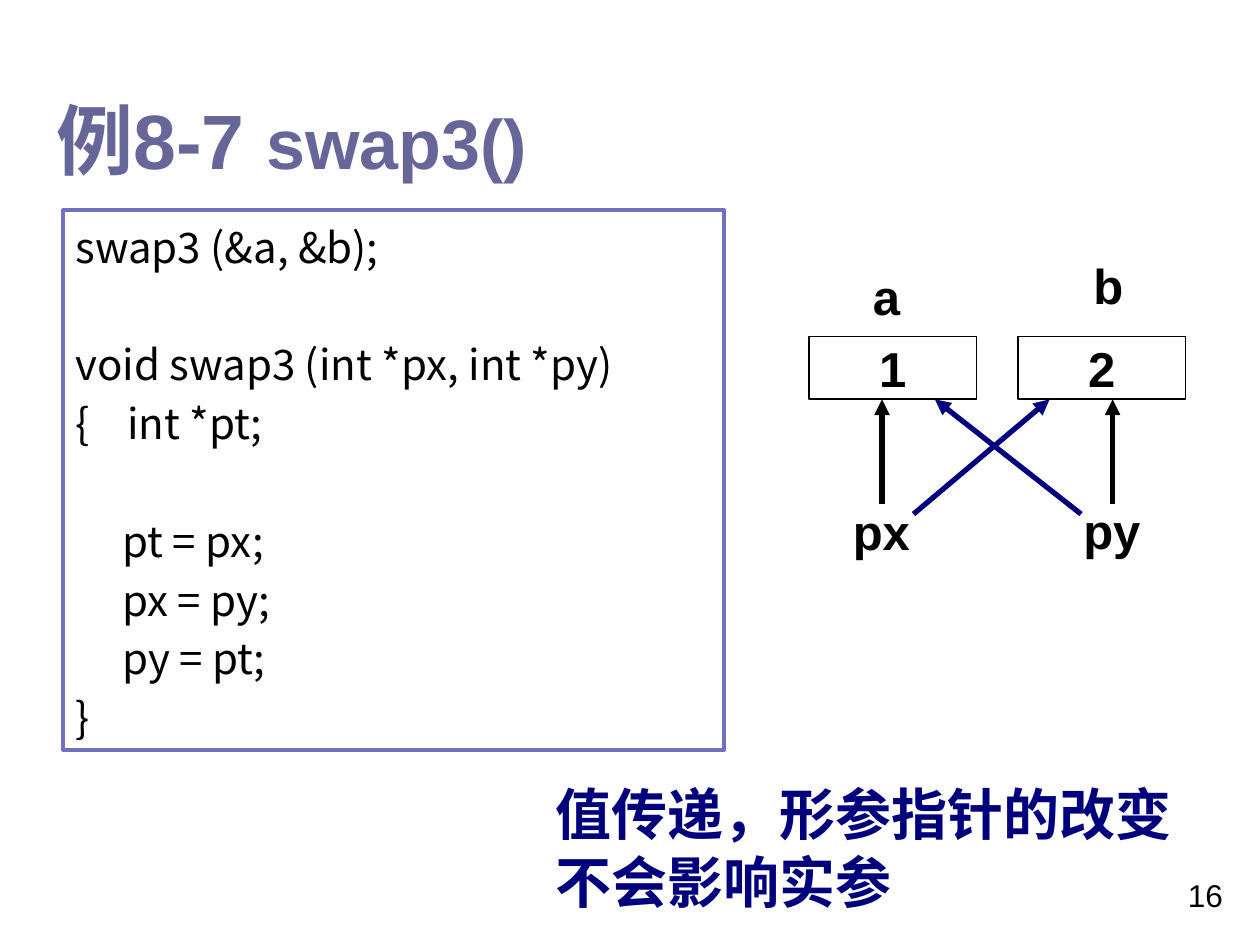
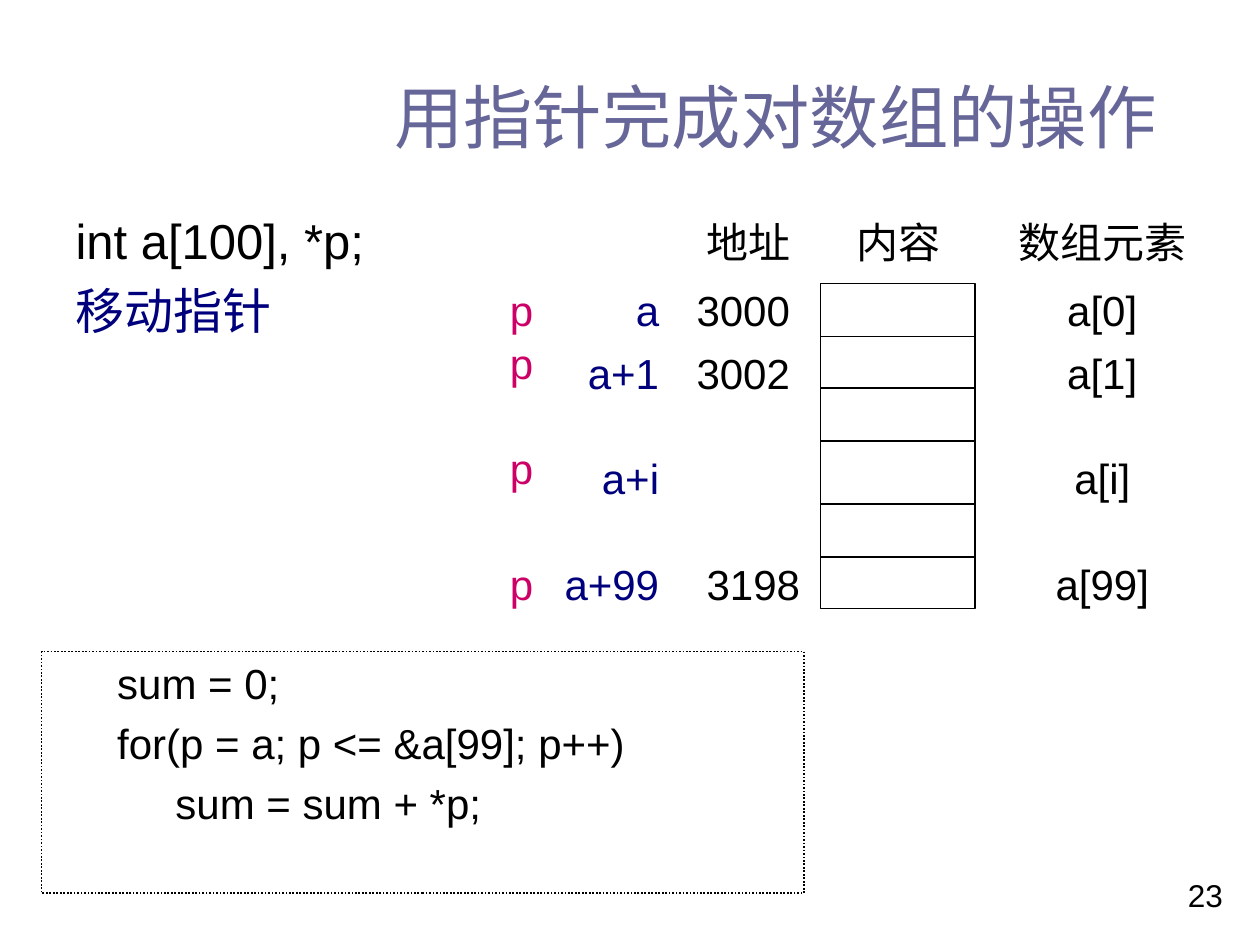
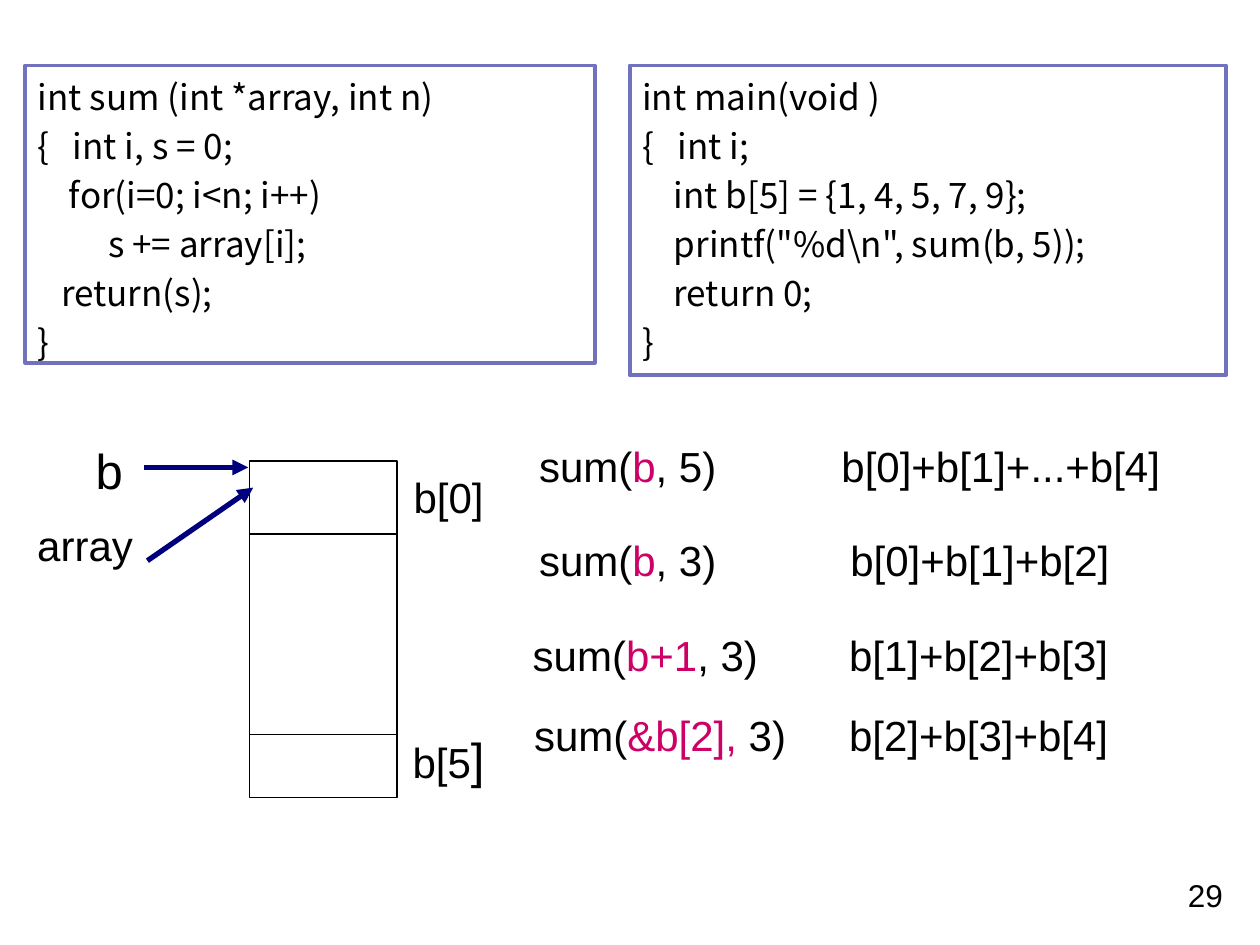
from typing import NamedTuple

from lxml import etree
from pptx import Presentation
from pptx import util as u
from pptx.dml.color import RGBColor
from pptx.enum import dml, shapes, text
from pptx.oxml.ns import qn

BLACK, NAVY, PINK = "000000", "00007D", "CC0066"
TITLE_COLOR, CODE_BORDER = "666699", "7171BD"
BODY_FONT, CODE_FONT = "Arial", "Noto Sans CJK SC"
LEFT, CENTER, RIGHT = text.PP_ALIGN.LEFT, text.PP_ALIGN.CENTER, text.PP_ALIGN.RIGHT
TOP, MIDDLE, BOTTOM = text.MSO_ANCHOR.TOP, text.MSO_ANCHOR.MIDDLE, text.MSO_ANCHOR.BOTTOM
INSET = 0.1


class Box(NamedTuple):
    left: float
    top: float
    width: float
    height: float


class Run(NamedTuple):
    text: str
    color: str | None = None
    size: float | None = None


class SumCall(NamedTuple):
    left: float
    top: float
    argument: str
    rest: str
    result_left: float
    result: str


def rgb(color: str) -> RGBColor:
    return RGBColor.from_string(color)


def lengths(*values: float) -> list[u.Length]:
    return [u.Inches(value) for value in values]


def write_text(shape, lines, *, size=24, font=BODY_FONT, color=BLACK, bold=False,
               align=LEFT, anchor=TOP, wrap=True, left_inset=INSET, top_inset=0.05,
               line_spacing=None, space_before=0, tabs=()):
    """Fill a shape; each line is a string or a list of runs, and an empty line widens the gap."""
    frame = shape.text_frame
    frame.word_wrap = wrap
    frame.vertical_anchor = anchor
    frame.margin_left, frame.margin_right, frame.margin_top, frame.margin_bottom = lengths(
        left_inset, INSET, top_inset, 0.05)
    lines = [lines] if isinstance(lines, str) else lines
    gap, paragraph = 0, None
    for line in lines:
        if not line:
            gap += line_spacing
            continue
        if paragraph is None:
            paragraph = frame.paragraphs[0]
        else:
            paragraph = frame.add_paragraph()
            paragraph.space_before = u.Pt(space_before) + gap
        gap = 0
        paragraph.alignment = align
        if line_spacing:
            paragraph.line_spacing = line_spacing
        if tabs:
            properties = paragraph._p.get_or_add_pPr()
            tab_list = etree.SubElement(properties, qn("a:tabLst"))
            for position in tabs:
                etree.SubElement(tab_list, qn("a:tab"), pos=str(u.Inches(position)), algn="ctr")
        for part in [Run(line)] if isinstance(line, str) else line:
            run = paragraph.add_run()
            run.text = part.text
            run.font.name = font
            run.font.size = u.Pt(part.size or size)
            run.font.bold = bold
            run.font.color.rgb = rgb(part.color or color)


def add_text(slide, box: Box, lines, **text_format) -> None:
    write_text(slide.shapes.add_textbox(*lengths(*box)), lines, **text_format)


def add_frame(slide, box: Box, color: str = BLACK, weight: float = 1, dash=None):
    frame = slide.shapes.add_shape(shapes.MSO_SHAPE.RECTANGLE, *lengths(*box))
    frame.shadow.inherit = False
    frame.fill.background()
    frame.line.color.rgb = rgb(color)
    frame.line.width = u.Pt(weight)
    if dash:
        frame.line.dash_style = dash
    return frame


def add_line(slide, start, end, color: str = BLACK, weight: float = 1, arrow: bool = False) -> None:
    line = slide.shapes.add_connector(
        shapes.MSO_CONNECTOR.STRAIGHT, *lengths(*start, *end))
    line.line.color.rgb = rgb(color)
    line.line.width = u.Pt(weight)
    if arrow:
        etree.SubElement(line.line._get_or_add_ln(), qn("a:tailEnd"), type="triangle")
    etree.SubElement(line._element.spPr, qn("a:effectLst"))


def add_arrow(slide, start, end, color: str = NAVY) -> None:
    add_line(slide, start, end, color, 3, arrow=True)


def add_title(slide, box: Box, line, **text_format) -> None:
    add_text(slide, box, [line], color=TITLE_COLOR, **text_format)


def add_code(slide, box: Box, code: str, size: float) -> None:
    write_text(add_frame(slide, box, CODE_BORDER, 2.25), code.splitlines(), size=size,
               font=CODE_FONT, top_inset=0.02, line_spacing=u.Pt(size * 1.4))


def add_slide(presentation, number: int):
    slide = presentation.slides.add_slide(presentation.slide_layouts[6])
    add_text(slide, Box(9.33, 6.9, 0.55, 0.4), str(number), size=18)
    return slide


SWAP_CODE = """swap3 (&a, &b);

void swap3 (int *px, int *py)
{    int *pt;

     pt = px;
     px = py;
     py = pt;
}"""

SUM_CODE = """int sum (int *array, int n)
{   int i, s = 0;
    for(i=0; i<n; i++)
         s += array[i];
   return(s);
}"""

MAIN_CODE = r"""int main(void )
{   int i;
    int b[5] = {1, 4, 5, 7, 9};
    printf("%d\n", sum(b, 5));
    return 0;
}"""

LOOP_CODE = """sum = 0;
for(p = a; p <= &a[99]; p++)
     sum = sum + *p;"""


def build_swap_slide(presentation) -> None:
    slide = add_slide(presentation, 16)
    add_title(slide, Box(0.35, 0.6, 5, 0.92), [Run("例8-7 "), Run("swap3()", size=40)],
              size=44, bold=True, anchor=BOTTOM)
    add_code(slide, Box(0.5, 1.67, 5.25, 4.28), SWAP_CODE, 24)

    cell_top, cell_height = 2.67, 0.5
    cell_bottom = cell_top + cell_height
    for left, value in ((6.42, "1"), (8.08, "2")):
        cell = add_frame(slide, Box(left, cell_top, 1.33, cell_height))
        write_text(cell, value, size=28, bold=True, align=CENTER, anchor=MIDDLE, wrap=False)
    for left, top, name in ((6.83, 2.07, "a"), (8.58, 1.98, "b"),
                            (6.67, 3.93, "px"), (8.5, 3.92, "py")):
        add_text(slide, Box(left, top, 0.83, 0.57), name, size=28, bold=True)
    for x in (7, 8.83):
        add_arrow(slide, (x, 4), (x, cell_bottom), BLACK)
    for start_x, end_x in ((7.25, 8.33), (8.58, 7.42)):
        add_arrow(slide, (start_x, 4.08), (end_x, cell_bottom))
    add_text(slide, Box(4.31, 6.14, 5.5, 1.17), "值传递，形参指针的改变不会影响实参",
             size=32, font="Courier New", color=NAVY, bold=True)


def build_array_slide(presentation) -> None:
    slide = add_slide(presentation, 23)
    add_title(slide, Box(3.03, 0.52, 6.65, 0.79), "用指针完成对数组的操作",
              size=39.6, anchor=MIDDLE)
    add_text(slide, Box(0, 1.62, 3.58, 1.25), ["int a[100], *p;", [Run("移动指针", NAVY)]],
             size=28, left_inset=0.6, space_before=6.4)

    memory = Box(6.51, 2.25, 1.23, 2.58)
    add_frame(slide, memory, weight=0.75)
    for y in (2.67, 3.08, 3.5, 4, 4.42):
        add_line(slide, (memory.left, y), (memory.left + memory.width, y), weight=0.75)

    content_center, element_center = 7.13, 8.75
    header_left = 5.51
    add_text(slide, Box(header_left, 1.67, 4.08, 0.5), "地址\t内容\t数组元素",
             font="Times New Roman", anchor=MIDDLE,
             tabs=[center - header_left - INSET for center in (content_center, element_center)])
    for left, top, row in ((5.43, 2.25, "3000\ta[0]"), (5.43, 2.75, "3002\ta[1]"),
                           (5.43, 3.58, "\ta[i]"), (5.51, 4.42, "3198\ta[99]")):
        add_text(slide, Box(left, top, 3.83, 0.42), row, anchor=MIDDLE,
                 tabs=[element_center - left - INSET])
    for top, address in ((2.25, "a"), (2.75, "a+1"), (3.58, "a+i"), (4.42, "a+99")):
        add_text(slide, Box(4.33, top, 1, 0.42), address, color=NAVY,
                 align=RIGHT, anchor=MIDDLE, wrap=False)
    for top in (2.25, 2.67, 3.5, 4.42):
        add_text(slide, Box(3.75, top, 0.58, 0.42), "p", color=PINK,
                 align=RIGHT, anchor=MIDDLE, wrap=False)

    loop = add_frame(slide, Box(0.33, 5.17, 6.05, 1.92), dash=dml.MSO_LINE.ROUND_DOT)
    write_text(loop, LOOP_CODE.splitlines(), left_inset=0.6, space_before=5.5)


def build_sum_slide(presentation) -> None:
    slide = add_slide(presentation, 29)
    add_code(slide, Box(0.2, 0.52, 4.52, 2.36), SUM_CODE, 20)
    add_code(slide, Box(5, 0.52, 4.73, 2.46), MAIN_CODE, 20)

    array = Box(1.98, 3.66, 1.17, 2.67)
    add_frame(slide, array)
    for y in (4.24, 5.83):
        add_line(slide, (array.left, y), (array.left + array.width, y))
    add_text(slide, Box(0.66, 3.41, 0.58, 0.64), "b", size=28, anchor=MIDDLE, wrap=False)
    for box, line in ((Box(0.14, 4.07, 1.07, 0.51), "array"),
                      (Box(3.12, 3.69, 0.88, 0.51), "b[0]"),
                      (Box(3.11, 5.74, 0.9, 0.57), [Run("b[5"), Run("]", size=28)])):
        add_text(slide, box, [line], align=CENTER, anchor=MIDDLE, wrap=False)
    add_arrow(slide, (1.14, 3.71), (1.97, 3.71))
    add_arrow(slide, (1.17, 4.45), (2.01, 3.87))

    for call in (SumCall(4.18, 3.49, "b", ", 5)", 6.58, "b[0]+b[1]+...+b[4]"),
                 SumCall(4.18, 4.24, "b", ", 3)", 6.65, "b[0]+b[1]+b[2]"),
                 SumCall(4.13, 4.99, "b+1", ", 3)", 6.64, "b[1]+b[2]+b[3]"),
                 SumCall(4.14, 5.63, "&b[2],", " 3)", 6.64, "b[2]+b[3]+b[4]")):
        add_text(slide, Box(call.left, call.top, 2.3, 0.46),
                 [[Run("sum("), Run(call.argument, PINK), Run(call.rest)]],
                 line_spacing=0.9)
        add_text(slide, Box(call.result_left, call.top, 2.81, 0.46), call.result,
                 line_spacing=0.9)


def main() -> None:
    presentation = Presentation()
    presentation.slide_width, presentation.slide_height = lengths(10, 7.5)
    build_swap_slide(presentation)
    build_array_slide(presentation)
    build_sum_slide(presentation)
    presentation.save("out.pptx")


if __name__ == "__main__":
    main()
